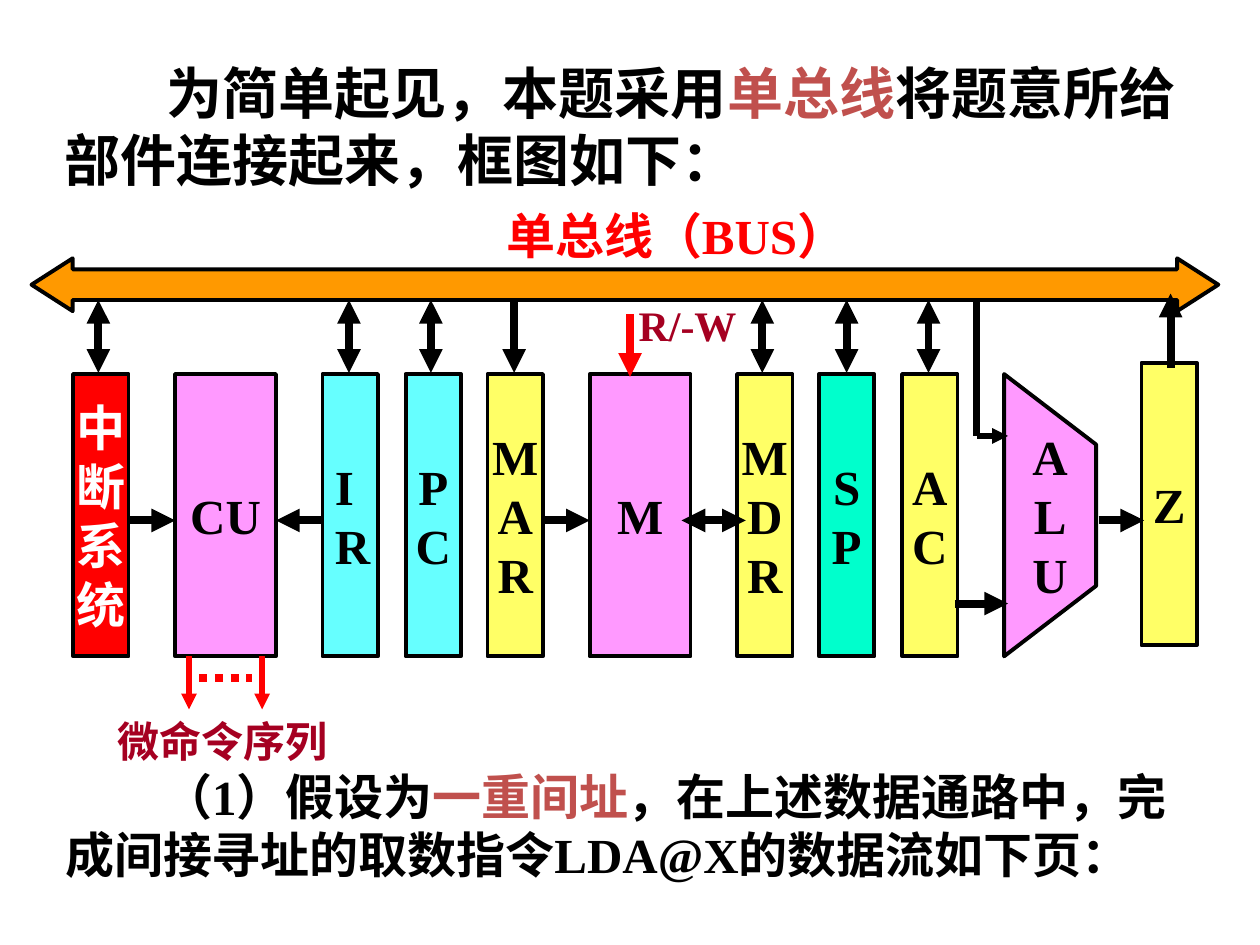
from lxml import etree
from pptx import Presentation
from pptx.dml.color import RGBColor
from pptx.enum.dml import MSO_LINE
from pptx.enum.lang import MSO_LANGUAGE_ID as LANG
from pptx.enum.shapes import MSO_CONNECTOR, MSO_SHAPE
from pptx.enum.text import MSO_ANCHOR as ANCHOR, MSO_AUTO_SIZE as AUTO, PP_ALIGN as ALIGN
from pptx.oxml.ns import qn
from pptx.util import Pt

BLACK = RGBColor(0x00, 0x00, 0x00)
WHITE = RGBColor(0xFF, 0xFF, 0xFF)
RED = RGBColor(0xFF, 0x00, 0x00)
DARK_RED = RGBColor(0xA5, 0x00, 0x21)
BRICK = RGBColor(0xC0, 0x50, 0x4D)
ORANGE = RGBColor(0xFF, 0x99, 0x00)
CYAN = RGBColor(0x66, 0xFF, 0xFF)
YELLOW = RGBColor(0xFF, 0xFF, 0x66)
GREEN = RGBColor(0x00, 0xFF, 0xCC)
PINK = RGBColor(0xFF, 0x99, 0xFF)

SERIF, SANS = "Times New Roman", "Calibri"
TOP, HEIGHT = 213.8, 161.3
BOTTOM = TOP + HEIGHT
NARROW, WIDE = 31.7, 57.6
BUS_Y, UNIT_Y, MID_Y = 171.4, 213.1, 297.4

# left, top, width, label (one entry per line), fill, text colour
UNITS = [
    (41.8, TOP, NARROW, "中断系统", RED, WHITE),
    (100.1, TOP, WIDE, ["CU"], PINK, BLACK),
    (184.3, TOP, NARROW, "IR", CYAN, BLACK),
    (231.8, TOP, NARROW, "PC", CYAN, BLACK),
    (278.6, TOP, NARROW, "MAR", YELLOW, BLACK),
    (337, TOP, WIDE, ["M"], PINK, BLACK),
    (421.2, TOP, NARROW, "MDR", YELLOW, BLACK),
    (468, TOP, NARROW, "SP", GREEN, BLACK),
    (515.5, TOP, NARROW, "AC", YELLOW, BLACK),
    (652.3, 207.4, NARROW, "Z", YELLOW, BLACK),
]


def add_run(p, text, size, color, font=SERIF):
    r = p.add_run()
    r.text = text
    r.font.name, r.font.size, r.font.bold = font, Pt(size), True
    r.font.color.rgb = color
    r.font.language_id = LANG.SIMPLIFIED_CHINESE


def add_text(s, x, y, w, h, paragraphs, font=SERIF, wrap=True, anchor=ANCHOR.TOP):
    """Each paragraph is (first-line indent, size, [(text, colour), ...])."""
    tf = s.shapes.add_textbox(Pt(x), Pt(y), Pt(w), Pt(h)).text_frame
    tf.word_wrap = wrap
    tf.auto_size = AUTO.NONE if anchor == ANCHOR.MIDDLE else AUTO.SHAPE_TO_FIT_TEXT
    tf.vertical_anchor = anchor
    for i, (indent, size, runs) in enumerate(paragraphs):
        p = tf.add_paragraph() if i else tf.paragraphs[0]
        if indent:
            p._p.get_or_add_pPr().set("indent", str(Pt(indent)))
        for text, color in runs:
            add_run(p, text, size, color, font)


def style_shape(sp, fill):
    sp.shadow.inherit = False
    sp.fill.solid()
    sp.fill.fore_color.rgb = fill
    sp.line.color.rgb = BLACK
    sp.line.width = Pt(2.25)


def stack_label(sp, lines, color=BLACK, align=ALIGN.CENTER):
    tf = sp.text_frame
    tf.word_wrap = False
    tf.vertical_anchor = ANCHOR.MIDDLE
    for i, line in enumerate(lines):
        p = tf.add_paragraph() if i else tf.paragraphs[0]
        p.alignment = align
        add_run(p, line, 28, color)


def add_unit(s, x, y, w, lines, fill, color):
    sp = s.shapes.add_shape(MSO_SHAPE.RECTANGLE, Pt(x), Pt(y), Pt(w), Pt(HEIGHT))
    style_shape(sp, fill)
    stack_label(sp, lines, color, ALIGN.LEFT if lines == "IR" else ALIGN.CENTER)


def add_alu(s):
    left, right, slant = 573.8, 626.4, 40.3
    fb = s.shapes.build_freeform(Pt(left), Pt(TOP))
    fb.add_line_segments([(Pt(right), Pt(TOP + slant)),
                          (Pt(right), Pt(BOTTOM - slant)),
                          (Pt(left), Pt(BOTTOM))], close=True)
    sp = fb.convert_to_shape()
    style_shape(sp, PINK)
    stack_label(sp, "ALU")


def add_bus(s):
    sp = s.shapes.add_shape(MSO_SHAPE.LEFT_RIGHT_ARROW,
                            Pt(18), Pt(147.6), Pt(678.2), Pt(30.2))
    sp.adjustments[0], sp.adjustments[1] = 0.58, 0.78
    style_shape(sp, ORANGE)


def add_wire(s, x1, y1, x2, y2, ends="tail", color=BLACK, width=4.5, dash=None):
    """ends names the arrowheads: head is at the start, tail at the finish."""
    c = s.shapes.add_connector(MSO_CONNECTOR.STRAIGHT, Pt(x1), Pt(y1), Pt(x2), Pt(y2))
    c.line.color.rgb = color
    c.line.width = Pt(width)
    if dash:
        c.line.dash_style = dash
    for end in ends.split():
        etree.SubElement(c.line._ln, qn(f"a:{end}End"), type="triangle")
    etree.SubElement(c._element.spPr, qn("a:effectLst"))


def main():
    prs = Presentation()
    prs.slide_width, prs.slide_height = Pt(720), Pt(540)
    s = prs.slides.add_slide(prs.slide_layouts[6])

    # Introduction
    add_text(s, 30, 18, 672, 108, [(58, 32, [
        ("为简单起见，本题采用", BLACK), ("单总线", BRICK),
        ("将题意所给部件连接起来，框图如下：", BLACK)])],
        font=SANS, anchor=ANCHOR.MIDDLE)

    # Functional units and bus
    for unit in UNITS:
        add_unit(s, *unit)
    add_alu(s)
    add_bus(s)

    # Connections to the bus
    for x in (56.2, 199.4, 246.2, 435.6, 483.8, 530.6):
        add_wire(s, x, BUS_Y, x, UNIT_Y, "head tail")
    add_wire(s, 293.8, BUS_Y, 293.8, UNIT_Y)
    add_wire(s, 360, 179.3, 360, 215.3, color=RED)
    add_wire(s, 668.9, 210.2, 668.9, 167.8)
    add_wire(s, 558, BUS_Y, 558, 249.1, "")
    add_wire(s, 558, 249.1, 576, 249.1, width=3)

    # Connections between units
    for x1, x2 in ((73.4, 100.1), (184.3, 157.7), (310.3, 337), (627.8, 653.8)):
        add_wire(s, x1, MID_Y, x2, MID_Y)
    add_wire(s, 389.5, MID_Y, 426.2, MID_Y, "head tail")
    add_wire(s, 545.8, 344.9, 576, 344.9)

    # Micro-commands leaving the control unit
    for x in (108, 149.8):
        add_wire(s, x, BOTTOM, x, 405.4, color=RED, width=3)
    add_wire(s, 113.8, 387.4, 144, 387.4, "", RED, dash=MSO_LINE.ROUND_DOT)

    # Labels and closing text
    add_text(s, 357.8, 167.8, 70.6, 36, [(0, 24, [("R/-W", DARK_RED)])], wrap=False)
    add_text(s, 282.2, 113.8, 221.8, 41, [(0, 28, [("单总线（BUS）", RED)])], wrap=False)
    add_text(s, 30.2, 405.4, 660.2, 103.7, [
        (30, 24, [("微命令序列", DARK_RED)]),
        (56, 28, [("（1）假设为", BLACK), ("一重间址", BRICK),
                  ("，在上述数据通路中，完成间接寻址的取数指令LDA@X的数据流如下页：", BLACK)])])

    prs.save("out.pptx")


if __name__ == "__main__":
    main()
